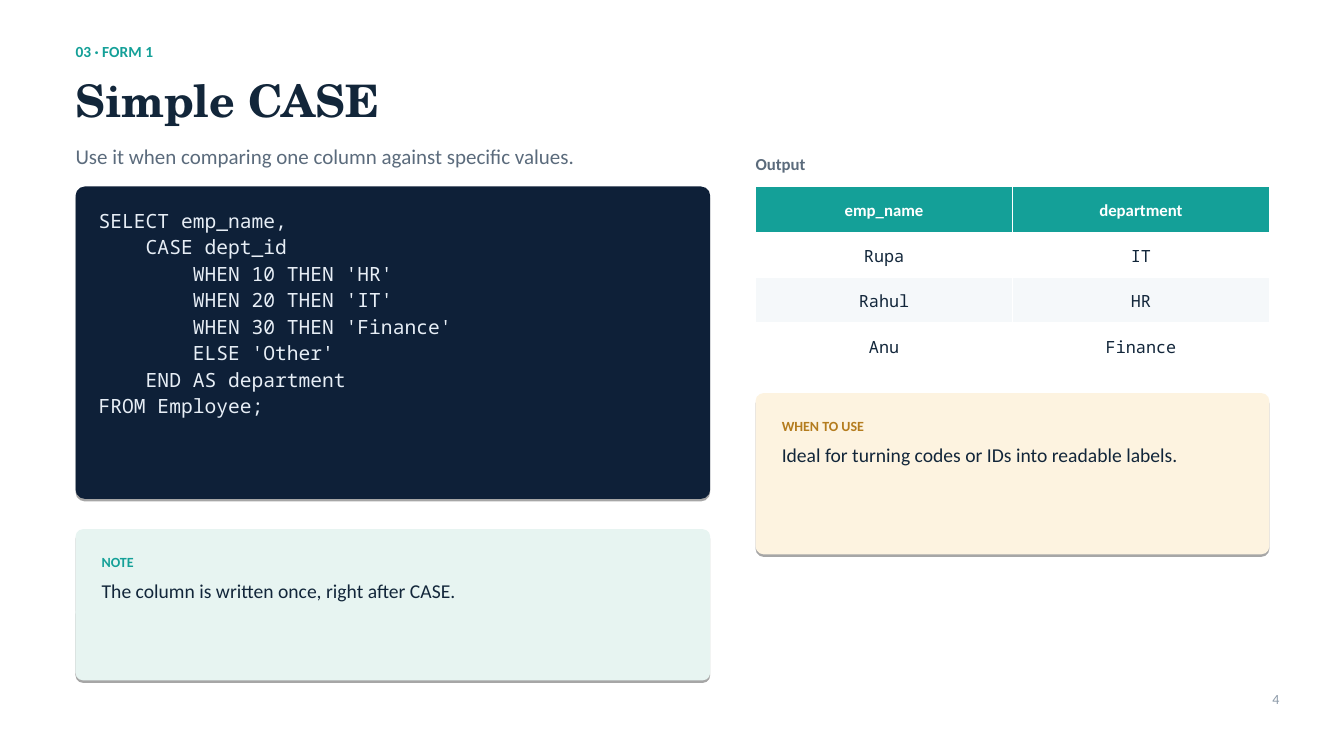
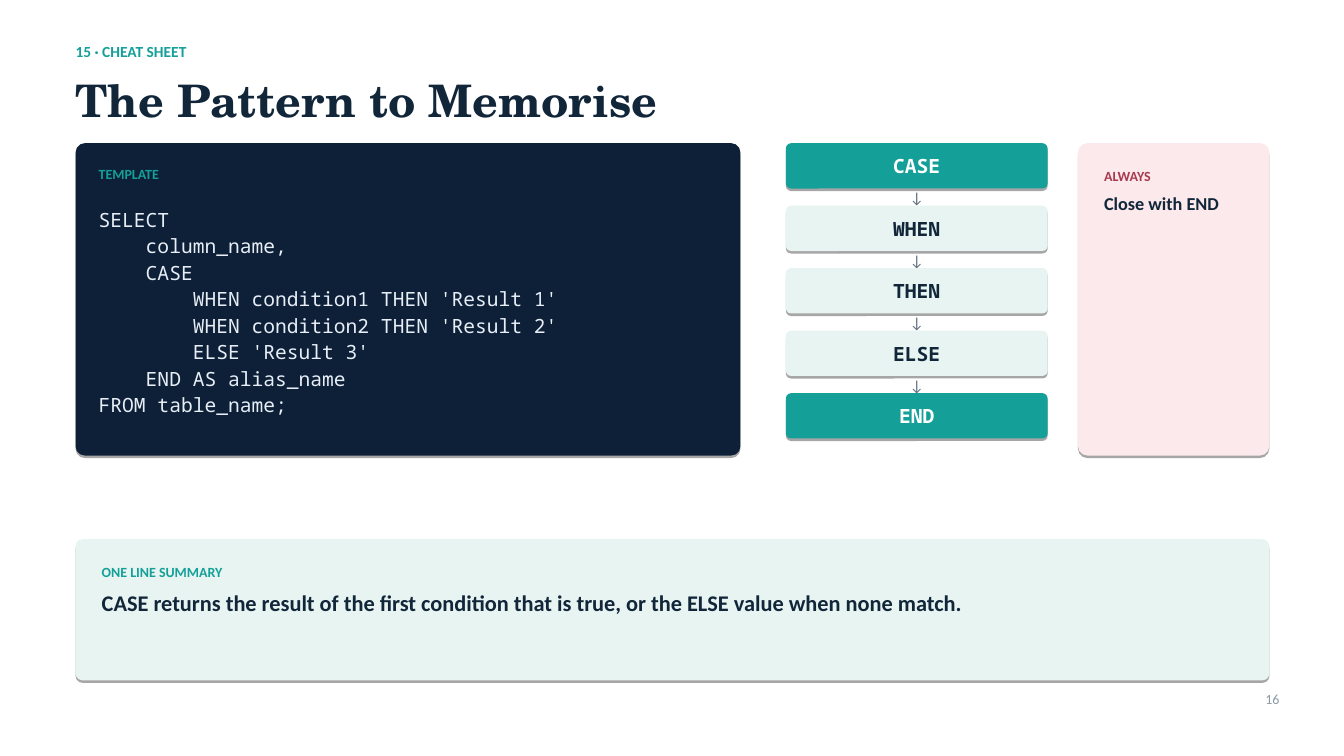
from lxml.etree import SubElement
from pptx import Presentation
from pptx.dml.color import RGBColor
from pptx.enum.shapes import MSO_SHAPE as Preset
from pptx.enum.text import MSO_ANCHOR as Anchor, PP_ALIGN as Align
from pptx.oxml.ns import qn
from pptx.util import Inches, Pt

rgb = RGBColor.from_string
CELL = Inches(0.1)
WHITE, INK, SLATE, GREY = "FFFFFF", "12263A", "5B6B7C", "8C9AA8"
TEAL, MINT, NAVY, ICE = "14A098", "E7F4F1", "0E2038", "E7EEF6"
CREAM, AMBER, BLUSH, ROSE, MIST = "FDF3E0", "B47C1E", "FBE9EC", "A83A4E", "F5F8FA"
SANS, MONO, SERIF = "Calibri", "Noto Sans Mono", "TeX Gyre Schola"
LEFT, RIGHT, TOP = 7.5, 126, 14.2
PAD = (1.8, 1.2)


def block(page, area, fill=None, radius=0, pad=(0, 0)):
    place = [int(value * CELL) for value in area]
    if fill is None:
        box = page.shapes.add_textbox(*place)
    else:
        box = page.shapes.add_shape(Preset.ROUNDED_RECTANGLE, *place)
        box.adjustments[0] = radius
        box.fill.solid()
        box.fill.fore_color.rgb = rgb(fill)
        box.line.fill.background()
        box.shadow.inherit = False
        effects = box._element.spPr.find(qn("a:effectLst"))
        shadow = SubElement(effects, qn("a:outerShdw"), blurRad="0", dist=str(Pt(1.8)), dir="5400000",
                            algn="ctr", rotWithShape="0")
        black = SubElement(shadow, qn("a:srgbClr"), val="000000")
        SubElement(black, qn("a:alpha"), val="35000")
    frame = box.text_frame
    frame.word_wrap = True
    frame.margin_left = frame.margin_right = int(pad[0] * CELL)
    frame.margin_top = frame.margin_bottom = int(pad[1] * CELL)
    return frame


def write(frame, lines, align=Align.LEFT, after=0, leading=1.0):
    for index, (text, size, color, bold, font) in enumerate(lines):
        para = frame.add_paragraph() if index else frame.paragraphs[0]
        para.alignment = align
        para.space_after = Pt(after)
        para.line_spacing = leading
        span = para.add_run()
        span.text = text
        span.font.size = Pt(size)
        span.font.color.rgb = rgb(color)
        span.font.bold = bold
        span.font.name = font


deck = Presentation()
deck.slide_width, deck.slide_height = int(133.4 * CELL), 75 * CELL

headers = [("03 · FORM 1", "Simple CASE", "4"), ("15 · CHEAT SHEET", "The Pattern to Memorise", "16")]
pages = []
for kicker, title, number in headers:
    page = deck.slides.add_slide(deck.slide_layouts[6])
    write(block(page, (LEFT, 4.2, 119, 1.8)), [(kicker, 11, TEAL, True, SANS)])
    write(block(page, (LEFT, 7.2, 119, 5.3)), [(title, 32, INK, True, SERIF)])
    write(block(page, (122, 68.5, 5, 1.7)), [(number, 10, GREY, False, SANS)], Align.RIGHT)
    pages.append(page)
simple, pattern = pages

write(block(simple, (LEFT, TOP, 110, 2.5)),
      [("Use it when comparing one column against specific values.", 15, SLATE, False, SANS)])

simple_code = """SELECT emp_name,
    CASE dept_id
        WHEN 10 THEN 'HR'
        WHEN 20 THEN 'IT'
        WHEN 30 THEN 'Finance'
        ELSE 'Other'
    END AS department
FROM Employee;"""
pattern_code = """SELECT
    column_name,
    CASE
        WHEN condition1 THEN 'Result 1'
        WHEN condition2 THEN 'Result 2'
        ELSE 'Result 3'
    END AS alias_name
FROM table_name;"""
listings = [(simple, 18.5, 63, 19.5, simple_code), (pattern, TOP, 66, 19.4, pattern_code)]
for page, top, width, text_top, code in listings:
    block(page, (LEFT, top, width, 31), NAVY, 0.03)
    write(block(page, (LEFT + 0.5, text_top, width - 2, 23.3), pad=PAD),
          [(line, 14, ICE, False, MONO) for line in code.splitlines()], after=2.1)
write(block(pattern, (LEFT + 0.5, 15.6, 66, 3.4), pad=(1.8, 0.8)), [("TEMPLATE", 10, TEAL, True, SANS)])

write(block(simple, (75, 15.3, 51, 2)), [("Output", 12, SLATE, True, SANS)])
records = [("emp_name", "department"), ("Rupa", "IT"), ("Rahul", "HR"), ("Anu", "Finance")]
table = simple.shapes.add_table(len(records), 2, 75 * CELL, int(18.5 * CELL), 51 * CELL, 18 * CELL).table
table.horz_banding = False
for row, record in enumerate(records):
    for column, value in enumerate(record):
        cell = table.cell(row, column)
        cell.vertical_anchor = Anchor.MIDDLE
        for side in ("a:lnL", "a:lnR", "a:lnT", "a:lnB"):
            border = SubElement(cell._tc.get_or_add_tcPr(), qn(side), w=str(Pt(0.45)))
            SubElement(SubElement(border, qn("a:solidFill")), qn("a:srgbClr"), val=WHITE)
        cell.fill.solid()
        cell.fill.fore_color.rgb = rgb((TEAL, WHITE, MIST, WHITE)[row])
        style = (12, INK, False, MONO) if row else (12, WHITE, True, SANS)
        write(cell.text_frame, [(value, *style)], Align.CENTER, leading=1.13)

steps = ["CASE", "WHEN", "THEN", "ELSE", "END"]
step_height, arrow_height = 4.5, 1.7
for index, step in enumerate(steps):
    top = TOP + index * (step_height + arrow_height)
    outer = step in ("CASE", "END")
    frame = block(pattern, (78, top, 26, step_height), TEAL if outer else MINT, 0.12, PAD)
    frame.vertical_anchor = Anchor.MIDDLE
    write(frame, [(step, 14, WHITE if outer else INK, True, MONO)], Align.CENTER)
    if step != steps[-1]:
        write(block(pattern, (78, top + step_height, 26, arrow_height)),
              [("↓", 11, SLATE, False, SANS)], Align.CENTER)

cards = [
    (simple, (75, 39, 51, 16), CREAM, "WHEN TO USE", AMBER,
     "Ideal for turning codes or IDs into readable labels.", 14, False),
    (simple, (LEFT, 52.5, 63, 15), MINT, "NOTE", TEAL,
     "The column is written once, right after CASE.", 14, False),
    (pattern, (107, TOP, 19, 31), BLUSH, "ALWAYS", ROSE, "Close with END", 13, True),
    (pattern, (LEFT, 53.5, RIGHT - LEFT, 14), MINT, "ONE LINE SUMMARY", TEAL,
     "CASE returns the result of the first condition that is true, or the ELSE value when none match.",
     16, True),
]
for page, area, fill, label, accent, body, size, bold in cards:
    left, top, width, height = area
    block(page, area, fill, 0.05)
    write(block(page, (left + 0.8, top + 1.2, width - 3, 7.3), pad=PAD),
          [(label, 10, accent, True, SANS), (body, size, INK, bold, SANS)], after=6.1)

deck.save("out.pptx")
